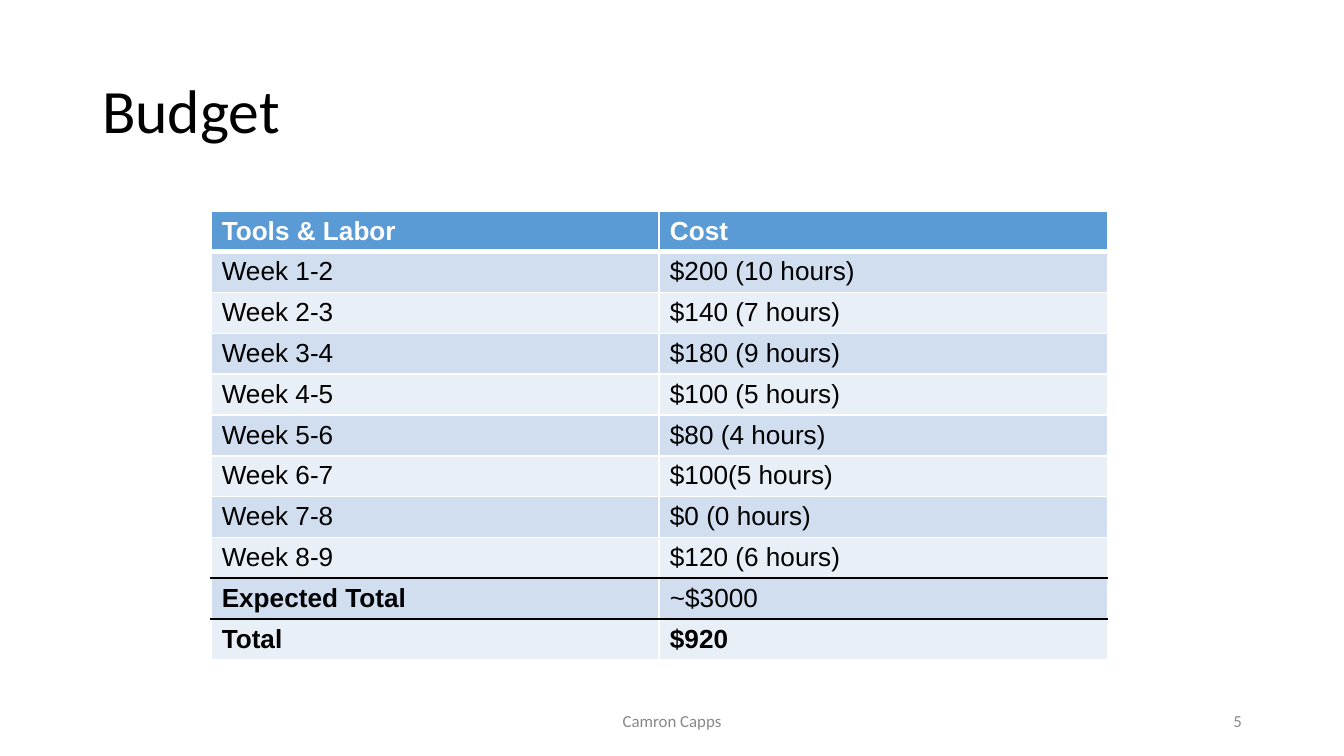
from lxml import etree
from pptx import Presentation
from pptx.dml.color import RGBColor
from pptx.enum.text import MSO_ANCHOR, PP_ALIGN
from pptx.oxml.ns import qn
from pptx.util import Inches, Pt

LEFT, CENTER, RIGHT = PP_ALIGN.LEFT, PP_ALIGN.CENTER, PP_ALIGN.RIGHT
MIDDLE = MSO_ANCHOR.MIDDLE
TITLE_ONLY = 5

COLORS = {
    "black": "000000",
    "white": "FFFFFF",
    "gray": "888888",
    "header": "5B9BD5",
    "band_dark": "D0DEEF",
    "band_light": "E9EFF7",
}


def write(tf, text, size, font, color="black", bold=False, align=LEFT, side=0.07):
    tf.word_wrap = True
    tf.margin_left = tf.margin_right = Inches(side)
    tf.margin_top = tf.margin_bottom = Inches(0.04)
    p = tf.paragraphs[0]
    p.alignment = align
    r = p.add_run()
    r.text = text
    r.font.size = Pt(size)
    r.font.name = font
    r.font.bold = bold
    r.font.color.rgb = RGBColor.from_string(COLORS[color])
    return p


def set_borders(cell, **edges):
    tc_pr = cell._tc.get_or_add_tcPr()
    for i, side in enumerate("LRTB"):
        color, width = edges.get(side, ("white", 1))
        ln = etree.Element(qn(f"a:ln{side}"), w=str(Pt(width)))
        fill = etree.SubElement(ln, qn("a:solidFill"))
        etree.SubElement(fill, qn("a:srgbClr"), val=COLORS[color])
        tc_pr.insert(i, ln)


# Widescreen 16:9 slide
prs = Presentation()
prs.slide_width = Inches(10)
prs.slide_height = Inches(10 * 9 / 16)
s = prs.slides.add_slide(prs.slide_layouts[TITLE_ONLY])

# Title
title = s.shapes.title
title.left, title.top = Inches(0.69), Inches(0.3)
title.width, title.height = Inches(8.62), Inches(1.09)
title.text_frame.vertical_anchor = MIDDLE
p = write(title.text_frame, "Budget", 33, "Calibri")
p.line_spacing = 0.9

# Budget table
rows = [
    ("Tools & Labor", "Cost"),
    ("Week 1-2", "$200 (10 hours)"),
    ("Week 2-3", "$140 (7 hours)"),
    ("Week 3-4", "$180 (9 hours)"),
    ("Week 4-5", "$100 (5 hours)"),
    ("Week 5-6", "$80 (4 hours)"),
    ("Week 6-7", "$100(5 hours)"),
    ("Week 7-8", "$0 (0 hours)"),
    ("Week 8-9", "$120 (6 hours)"),
    ("Expected Total", "~$3000"),
    ("Total", "$920"),
]
bold_texts = {"Tools & Labor", "Cost", "Expected Total", "Total", "$920"}
total_row = len(rows) - 1
rules = {1: ("white", 3), total_row - 1: ("black", 1), total_row: ("black", 1)}

row_height = Inches(3.34) // len(rows)
frame = s.shapes.add_table(len(rows), 2, Inches(1.57), Inches(1.57),
                           Inches(6.67), Inches(3.34))
table = frame.table
for i, row in enumerate(rows):
    table.rows[i].height = row_height
    fill = "header" if i == 0 else "band_dark" if i % 2 else "band_light"
    for j, text in enumerate(row):
        cell = table.cell(i, j)
        cell.margin_left = cell.margin_right = Inches(0.08)
        cell.margin_top = cell.margin_bottom = Inches(0.04)
        write(cell.text_frame, text, 14, "Arial", bold=text in bold_texts,
              color="black" if i else "white", side=0.08)
        cell.fill.solid()
        cell.fill.fore_color.rgb = RGBColor.from_string(COLORS[fill])
        set_borders(cell, T=rules.get(i, ("white", 1)),
                    B=rules.get(i + 1, ("white", 1)))
frame.height = Inches(3.39)

# Footer and slide number
for text, left, width, align in [("Camron Capps", 3.31, 3.38, CENTER),
                                 ("5", 7.06, 2.25, RIGHT)]:
    sp = s.shapes.add_textbox(Inches(left), Inches(5.21), Inches(width), Inches(0.3))
    sp.text_frame.vertical_anchor = MIDDLE
    write(sp.text_frame, text, 9, "Calibri", color="gray", align=align)

prs.save("out.pptx")
